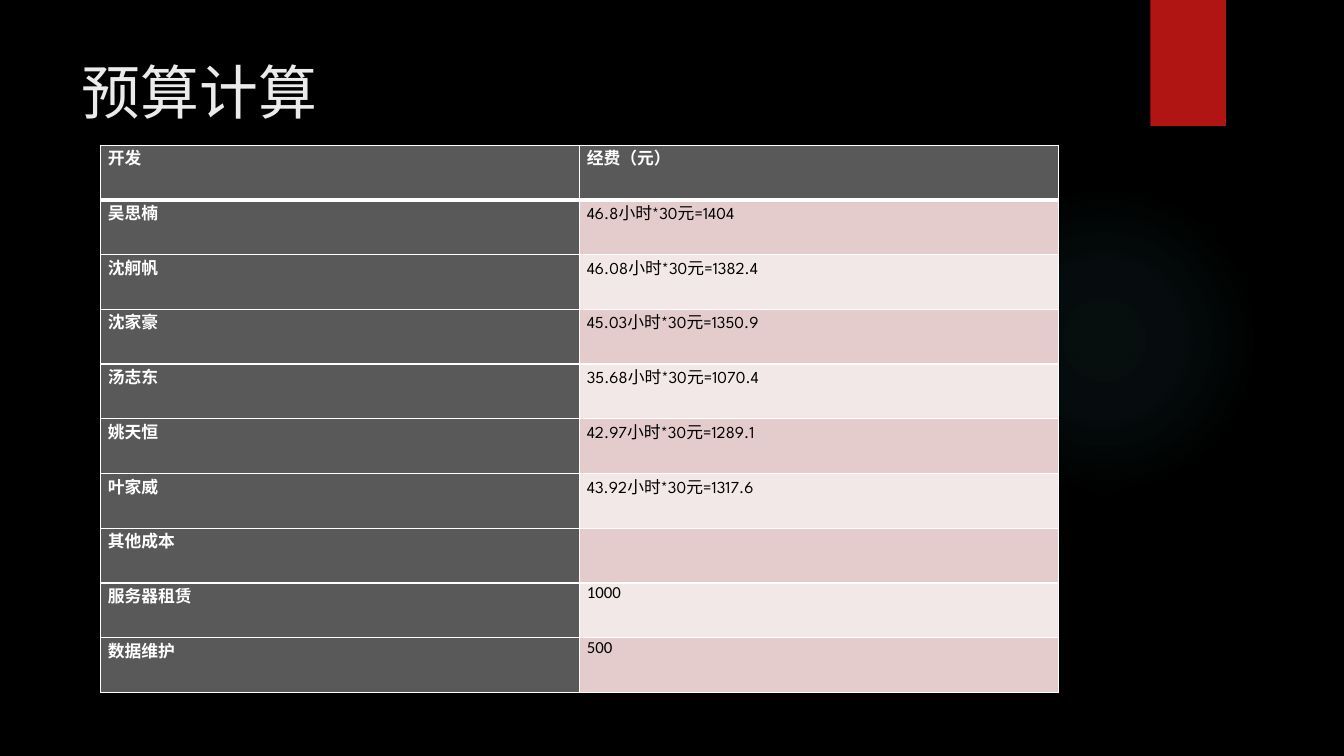
from lxml.etree import SubElement
from pptx import Presentation
from pptx.dml.color import RGBColor
from pptx.enum.shapes import MSO_SHAPE as Shape
from pptx.enum.text import MSO_ANCHOR as Anchor, PP_ALIGN as Align
from pptx.oxml.ns import qn
from pptx.util import Inches, Pt

WIDTH, HEIGHT = 13.33, 7.5
CJK_FONT = "Noto Sans CJK SC"
TITLE = "预算计算"
HEADER = ("开发", "经费（元）")
# name, cost, font
BUDGET = [
    (*HEADER, "League Spartan"),
    ("吴思楠", "46.8小时*30元=1404", "League Spartan"),
    ("沈舸帆", "46.08小时*30元=1382.4", "League Spartan"),
    ("沈家豪", "45.03小时*30元=1350.9", "League Spartan"),
    ("汤志东", "35.68小时*30元=1070.4", "League Spartan"),
    ("姚天恒", "42.97小时*30元=1289.1", "League Spartan"),
    ("叶家威", "43.92小时*30元=1317.6", "League Spartan"),
    ("其他成本", "", "Calibri"),
    ("服务器租赁", "1000", "Calibri"),
    ("数据维护", "500", "Calibri"),
]
HEAD_FILL, BANDS = "595959", ("F2E8E7", "E4CCCC")
TABLE_BOX = (1, 1.44, 9.5, 5.43)
GLOW_COLOR = "50B9C1"
GLOW_STOPS = [(0, 7), (36, 6), (69, 0)]  # position and opacity, percent


def paint(fill, color):
    fill.solid()
    fill.fore_color.rgb = RGBColor.from_string(color)


def style(paragraph, size, name, color, bold=False):
    font = paragraph.font
    font.size, font.name, font.bold = Pt(size), name, bold
    font.color.rgb = RGBColor.from_string(color)
    properties = paragraph._p.find(".//" + qn("a:defRPr"))
    SubElement(properties, qn("a:ea"), typeface=CJK_FONT)


def add_plain_shape(slide, kind, box, color):
    shape = slide.shapes.add_shape(kind, *map(Inches, box))
    shape.shadow.inherit = False
    paint(shape.fill, color)
    shape.line.fill.background()
    return shape


def make_glow(shape):
    """Turn the solid fill into a radial gradient that fades out."""
    properties = shape._element.spPr
    solid = properties.find(qn("a:solidFill"))
    gradient = SubElement(properties, qn("a:gradFill"))
    stops = SubElement(gradient, qn("a:gsLst"))
    for position, opacity in GLOW_STOPS:
        stop = SubElement(stops, qn("a:gs"), pos=str(position * 1000))
        color = SubElement(stop, qn("a:srgbClr"), val=GLOW_COLOR)
        SubElement(color, qn("a:alpha"), val=str(opacity * 1000))
    radial = SubElement(gradient, qn("a:path"), path="circle")
    SubElement(radial, qn("a:fillToRect"), l="50000", t="50000", r="50000", b="50000")
    properties.replace(solid, gradient)


def set_borders(cell, **widths):
    properties = cell._tc.get_or_add_tcPr()
    for side in "LRTB":
        width = Pt(widths.get(side, 1))
        line = SubElement(properties, qn("a:ln" + side), w=str(width))
        fill = SubElement(line, qn("a:solidFill"))
        SubElement(fill, qn("a:srgbClr"), val="FFFFFF")


def add_budget_table(slide):
    columns = len(HEADER)
    left, top, width, height = map(Inches, TABLE_BOX)
    table = slide.shapes.add_table(len(BUDGET), columns, left, top, width, height).table
    table.horz_banding = False
    for row, (*texts, font_name) in enumerate(BUDGET):
        table.rows[row].height = height // len(BUDGET)
        for column, text in enumerate(texts):
            cell = table.cell(row, column)
            is_head = row == 0 or column == 0
            cell.margin_left = cell.margin_right = Inches(0.07)
            cell.margin_top = cell.margin_bottom = 0
            set_borders(cell, T=3 if row == 1 else 1, B=3 if row == 0 else 1)
            paint(cell.fill, HEAD_FILL if is_head else BANDS[row % 2])
            cell.text = text
            style(cell.text_frame.paragraphs[0], 12, font_name,
                  "FFFFFF" if is_head else "000000", is_head)


def main():
    presentation = Presentation()
    presentation.slide_width, presentation.slide_height = Inches(WIDTH), Inches(HEIGHT)
    slide = presentation.slides.add_slide(presentation.slide_layouts[5])
    paint(slide.background.fill, "000000")

    make_glow(add_plain_shape(slide, Shape.OVAL, (9.41, 1.83, 3.08, 3.08), GLOW_COLOR))
    add_plain_shape(slide, Shape.RECTANGLE, (11.41, 0, 0.75, HEIGHT / 6), "B01513")

    title = slide.shapes.title
    title.left, title.top, title.width, title.height = map(Inches, (0.71, 0.5, 10.29, 1.53))
    title.text = TITLE
    title.text_frame.vertical_anchor = Anchor.TOP
    paragraph = title.text_frame.paragraphs[0]
    paragraph.alignment = Align.LEFT
    style(paragraph, 42, CJK_FONT, "EBEBEB")

    add_budget_table(slide)
    presentation.save("out.pptx")


if __name__ == "__main__":
    main()
